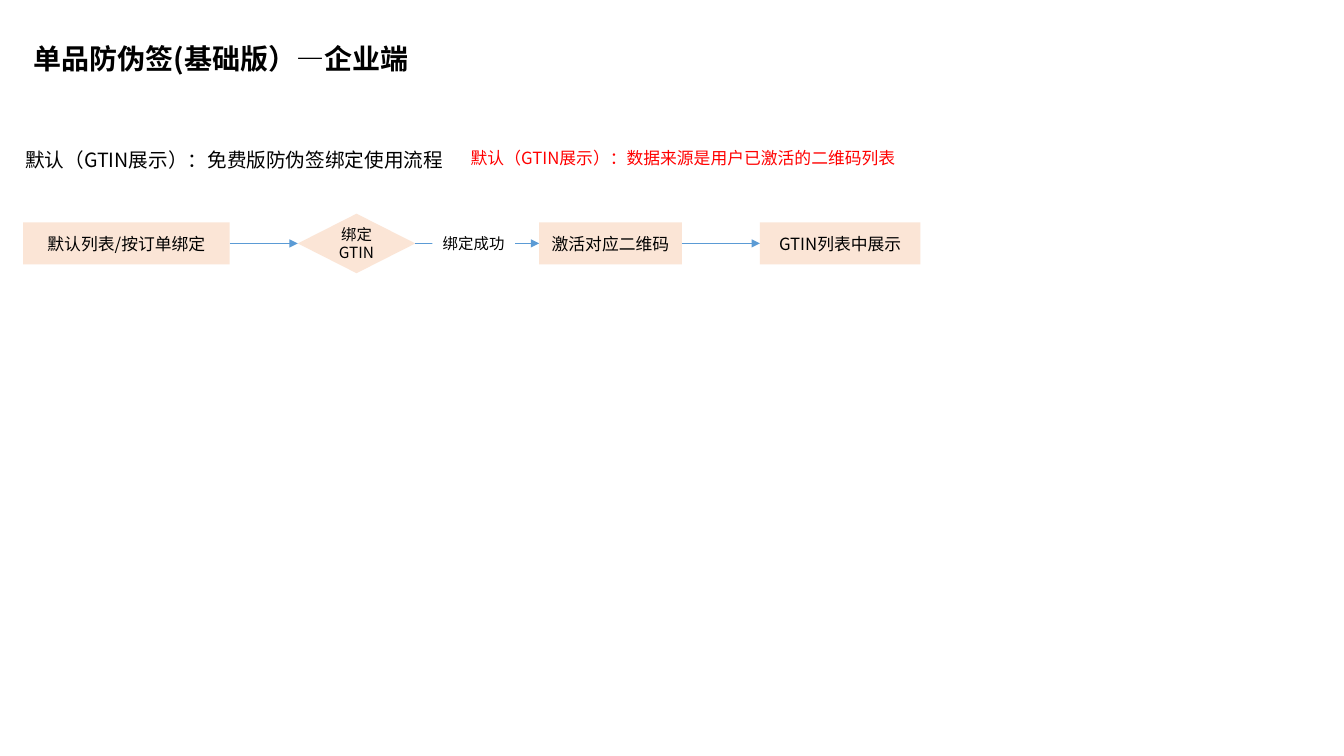
from pptx import Presentation
from pptx.dml.color import RGBColor
from pptx.enum.shapes import MSO_CONNECTOR, MSO_SHAPE
from pptx.enum.text import MSO_ANCHOR, PP_ALIGN
from pptx.oxml.ns import qn
from pptx.util import Inches, Pt
from lxml import etree

RECT, DIAMOND = MSO_SHAPE.RECTANGLE, MSO_SHAPE.DIAMOND
LINE = MSO_CONNECTOR.STRAIGHT
TOP, MID = MSO_ANCHOR.TOP, MSO_ANCHOR.MIDDLE
LEFT, CENTER = PP_ALIGN.LEFT, PP_ALIGN.CENTER
FONT = "Noto Sans CJK SC"
PEACH, BLUE, RED, BLACK, WHITE = "FBE5D6", "5B9BD5", "FF0000", "000000", "FFFFFF"


def color(code):
    return RGBColor.from_string(code)


def write(shape, text, size=12, ink=BLACK, bold=False, align=LEFT, anchor=TOP):
    frame = shape.text_frame
    frame.word_wrap = True
    frame.vertical_anchor = anchor
    frame.margin_left = frame.margin_right = Inches(0.1)
    frame.margin_top = frame.margin_bottom = Inches(0.05)
    para = frame.paragraphs[0]
    para.alignment = align
    para.line_spacing = 1.0
    para.space_before = Pt(0)
    run = para.add_run()
    run.text = text
    font = run.font
    font.size, font.bold, font.name = Pt(size), bold, FONT
    font.color.rgb = color(ink)
    # East Asian glyphs use the same face
    face = etree.SubElement(font._element, qn("a:ea"))
    face.set("typeface", FONT)


def label(slide, box, text, **style):
    write(slide.shapes.add_textbox(*map(Inches, box)), text, **style)


def node(slide, box, text, kind=RECT, fill=PEACH, **style):
    shape = slide.shapes.add_shape(kind, *map(Inches, box))
    shape.shadow.inherit = False
    shape.fill.solid()
    shape.fill.fore_color.rgb = color(fill)
    shape.line.fill.background()
    write(shape, text, align=CENTER, anchor=MID, **style)
    return shape


def arrow(slide, start, end):
    # Rectangles and diamonds share sites: 1 is left, 3 is right
    link = slide.shapes.add_connector(LINE, 0, 0, 0, 0)
    link.begin_connect(start, 3)
    link.end_connect(end, 1)
    link.line.color.rgb = color(BLUE)
    link.line.width = Pt(0.5)
    props = link._element.spPr
    tail = etree.SubElement(props.find(qn("a:ln")), qn("a:tailEnd"))
    tail.set("type", "triangle")
    etree.SubElement(props, qn("a:effectLst"))


def header(slide, box):
    title = slide.shapes.title
    title.left, title.top, title.width, title.height = map(Inches, box)
    write(title, "单品防伪签(基础版）—企业端", size=20, bold=True)


def captions(slide, box):
    left, top, width, height = box
    half = width / 2
    label(slide, (left, top, half, height),
          "默认（GTIN展示）：免费版防伪签绑定使用流程", size=14)
    label(slide, (left + half, top, half, height),
          "默认（GTIN展示）：数据来源是用户已激活的二维码列表", ink=RED)


def flow(slide, box):
    left, top, width, height = box
    mid = top + height / 2
    # Text, offset and width as shares of the row, height share, form
    steps = [
        ("默认列表/按订单绑定", 0, 0.23, 0.71, {}),
        ("绑定GTIN", 0.306, 0.131, 1, {"kind": DIAMOND, "size": 11}),
        ("激活对应二维码", 0.575, 0.159, 0.71, {}),
        ("GTIN列表中展示", 0.821, 0.179, 0.71, {}),
    ]

    def place(x, w, h):
        return left + x * width, mid - h * height / 2, w * width, h * height

    nodes = [node(slide, place(x, w, h), text, **form)
             for text, x, w, h, form in steps]
    for start, end in zip(nodes, nodes[1:]):
        arrow(slide, start, end)
    # Result label sits over the second arrow
    node(slide, place(0.456, 0.092, 0.49), "绑定成功", fill=WHITE, size=11)


def main():
    deck = Presentation()
    deck.slide_width, deck.slide_height = Inches(13.33), Inches(7.5)
    slide = deck.slides.add_slide(deck.slide_layouts[5])
    header(slide, (0.23, 0.36, 3.98, 0.44))
    captions(slide, (0.15, 1.42, 8.84, 0.34))
    flow(slide, (0.23, 2.12, 8.9, 0.59))
    deck.save("out.pptx")


if __name__ == "__main__":
    main()
